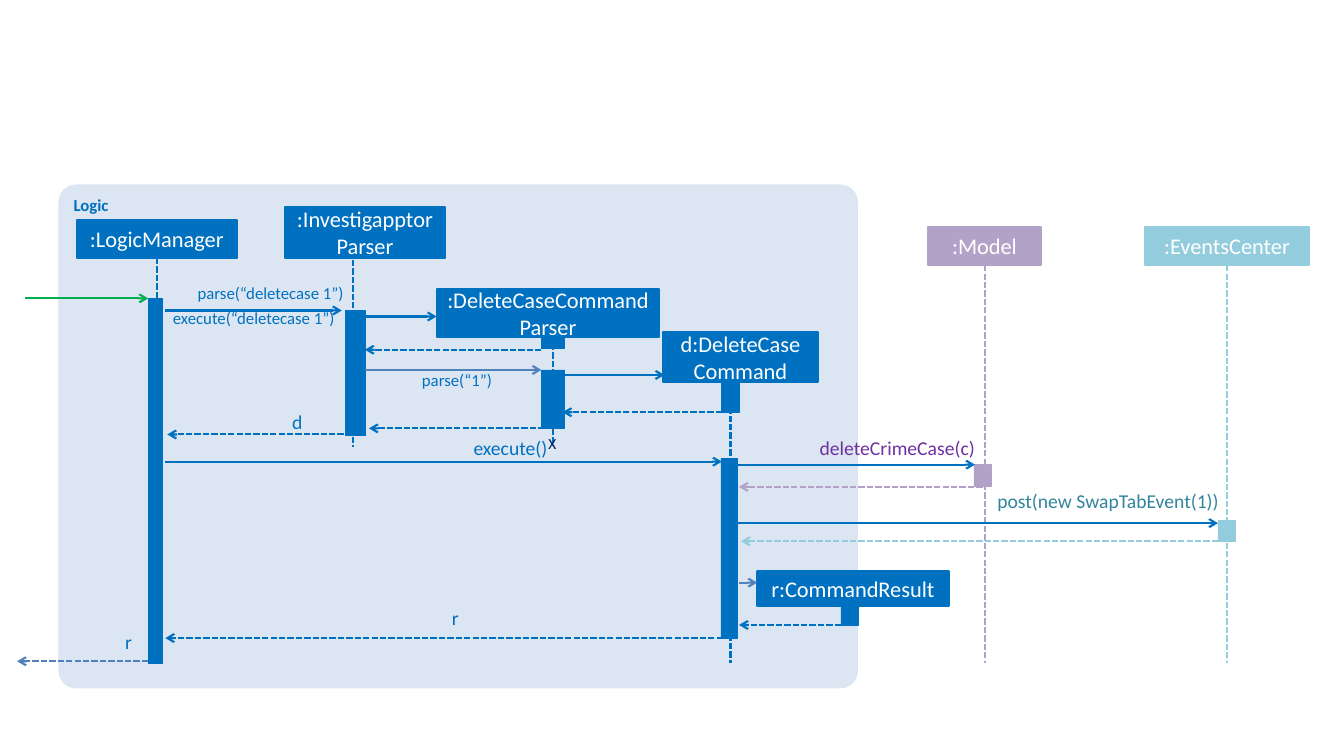
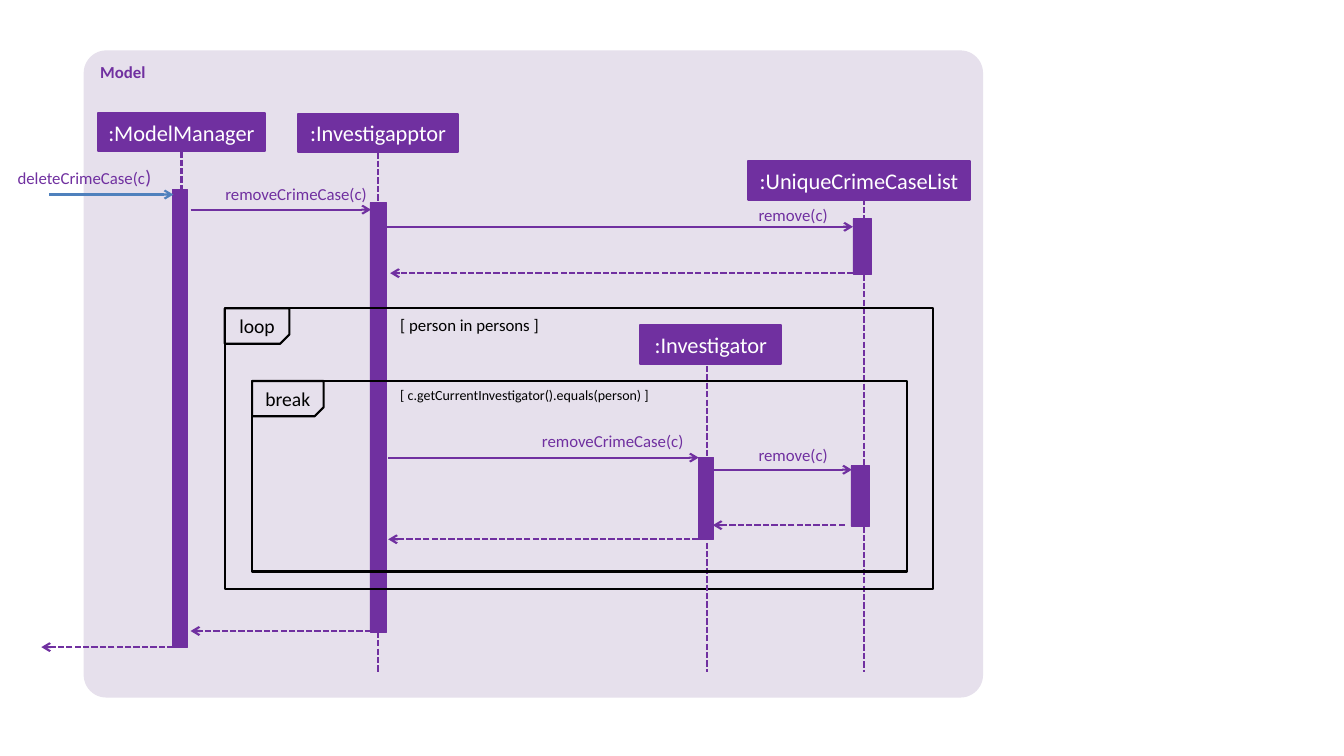
from lxml.etree import SubElement
from pptx import Presentation
from pptx.dml.color import RGBColor
from pptx.enum.dml import MSO_LINE
from pptx.enum.shapes import MSO_CONNECTOR, MSO_SHAPE
from pptx.enum.text import MSO_ANCHOR, MSO_AUTO_SIZE, PP_ALIGN
from pptx.oxml.ns import qn
from pptx.util import Inches, Pt

BLUE = "0070C0"
STEEL = "4F81BD"
GREEN = "00B050"
PURPLE = "7030A0"
LILAC = "B3A2C7"
AQUA = "93CDDD"
TEAL = "31859C"
NAVY = "002060"
BLACK = "000000"
WHITE = "FFFFFF"
TOP = 0
BOTTOM = 2


def color(value):
    return RGBColor.from_string(value)


class SequenceDiagram:
    font_name = "Calibri"
    line_width = Pt(1.5)

    def __init__(self, presentation):
        self.presentation = presentation
        self.slide = None
        self.accent = None

    def start_slide(self, accent):
        self.slide = self.presentation.slides.add_slide(self.presentation.slide_layouts[6])
        self.accent = accent

    def set_text(self, shape, text, size, ink, align=PP_ALIGN.LEFT, anchor=MSO_ANCHOR.TOP, bold=False):
        frame = shape.text_frame
        frame.word_wrap = True
        frame.vertical_anchor = anchor
        frame.text = text
        for paragraph in frame.paragraphs:
            paragraph.alignment = align
            font = paragraph.font
            font.name = self.font_name
            font.size = Pt(size)
            font.bold = bold
            font.color.rgb = color(ink)
        return frame

    def paint(self, shape, fill=None, line=None, width=line_width):
        shape.shadow.inherit = False
        if fill:
            shape.fill.solid()
            shape.fill.fore_color.rgb = color(fill)
        else:
            shape.fill.background()
        if line:
            shape.line.color.rgb = color(line)
            shape.line.width = width
        else:
            shape.line.fill.background()

    def box(self, left, top, width, height, kind=MSO_SHAPE.RECTANGLE):
        return self.slide.shapes.add_shape(
            kind, Inches(left), Inches(top), Inches(width), Inches(height))

    def region(self, title, left, top, width, height, fill):
        shape = self.box(left, top, width, height, MSO_SHAPE.ROUNDED_RECTANGLE)
        shape.adjustments[0] = 0.035
        self.paint(shape, fill)
        self.set_text(shape, title, 12, self.accent, bold=True)

    def participant(self, text, left, top, width, height, life_end=None, fill=None):
        fill = fill or self.accent
        shape = self.box(left, top, width, height)
        self.paint(shape, fill, fill)
        self.set_text(shape, text, 16, WHITE, PP_ALIGN.CENTER, MSO_ANCHOR.MIDDLE)
        if life_end:
            self.lifeline_from(shape, BOTTOM, life_end, fill)

    def activation(self, left, top, width, height, fill=None):
        fill = fill or self.accent
        shape = self.box(left, top, width, height)
        self.paint(shape, fill, fill, Pt(0.5))
        return shape

    def connector(self, start, end, ink=None, dashed=False, arrow=True):
        shape = self.slide.shapes.add_connector(
            MSO_CONNECTOR.STRAIGHT, *(Inches(value) for value in (*start, *end)))
        shape.line.color.rgb = color(ink or self.accent)
        shape.line.width = self.line_width
        if dashed:
            shape.line.dash_style = MSO_LINE.SQUARE_DOT
        properties = shape._element.spPr
        if arrow:
            SubElement(properties.find(qn("a:ln")), qn("a:tailEnd"), type="arrow")
        SubElement(properties, qn("a:effectLst"))
        return shape

    def lifeline(self, x, top, bottom, ink=None):
        return self.connector((x, top), (x, bottom), ink, dashed=True, arrow=False)

    def lifeline_from(self, shape, side, bottom, ink=None):
        x = (shape.left + shape.width / 2) / Inches(1)
        top = (shape.top + (shape.height if side == BOTTOM else 0)) / Inches(1)
        self.lifeline(x, top, bottom, ink).begin_connect(shape, side)

    def call(self, y, start, end, ink=None):
        self.connector((start, y), (end, y), ink)

    def reply(self, y, start, end, ink=None):
        self.connector((start, y), (end, y), ink, dashed=True)

    def reply_from(self, activation, end, ink=None):
        x = (activation.left + activation.width / 2) / Inches(1)
        y = (activation.top + activation.height) / Inches(1)
        self.connector((x, y), (end, y), ink, dashed=True).begin_connect(activation, BOTTOM)

    def label(self, text, left, top, width, size=12, ink=None, align=PP_ALIGN.RIGHT):
        shape = self.slide.shapes.add_textbox(
            Inches(left), Inches(top), Inches(width), Inches(size / 60))
        frame = self.set_text(shape, text, size, ink or self.accent, align)
        frame.margin_left = frame.margin_right = frame.margin_top = frame.margin_bottom = 0
        frame.auto_size = MSO_AUTO_SIZE.SHAPE_TO_FIT_TEXT
        return frame.paragraphs[0]

    def destroy_mark(self, left, top):
        shape = self.slide.shapes.add_textbox(
            Inches(left), Inches(top), Inches(0.28), Inches(0.29))
        frame = self.set_text(shape, "X", 11, NAVY)
        frame.word_wrap = False
        frame.auto_size = MSO_AUTO_SIZE.SHAPE_TO_FIT_TEXT

    def fragment(self, keyword, left, top, width, height, tab_width):
        self.paint(self.box(left, top, width, height), line=BLACK)
        tab_height, cut = 0.35, 0.09
        right, bottom = left + tab_width, top + tab_height
        corners = [(right - cut, bottom), (right, bottom - cut), (right, top), (left, top)]
        builder = self.slide.shapes.build_freeform(Inches(left), Inches(bottom))
        builder.add_line_segments([(Inches(x), Inches(y)) for x, y in corners], close=True)
        tab = builder.convert_to_shape()
        self.paint(tab, line=BLACK)
        self.set_text(tab, keyword, 14, BLACK, PP_ALIGN.CENTER, MSO_ANCHOR.MIDDLE)


def draw_logic(diagram):
    diagram.start_slide(BLUE)
    diagram.region("Logic", 0.58, 1.83, 7.93, 5, "DCE6F2")

    diagram.participant(":LogicManager", 0.76, 2.18, 1.59, 0.38, 5.42)
    diagram.activation(1.47, 2.96, 0.14, 3.62)
    diagram.participant(":InvestigapptorParser", 2.83, 2.05, 1.58, 0.51)
    diagram.lifeline(3.5, 2.58, 4.43)
    diagram.activation(3.43, 3.08, 0.19, 1.24)
    diagram.participant("d:DeleteCase\vCommand", 6.58, 3.29, 1.53, 0.5)
    command_creation = diagram.activation(7.16, 3.79, 0.17, 0.3)
    diagram.lifeline_from(command_creation, TOP, 6.58)
    diagram.activation(7.15, 4.55, 0.16, 1.78)
    diagram.participant(":DeleteCaseCommand\nParser", 4.33, 2.87, 2.21, 0.47)
    parser_creation = diagram.activation(5.37, 3.33, 0.23, 0.13)
    diagram.lifeline_from(parser_creation, TOP, 4.42)
    parsing = diagram.activation(5.37, 3.67, 0.23, 0.58)
    diagram.destroy_mark(5.34, 4.26)
    diagram.participant("r:CommandResult", 7.51, 5.67, 1.9, 0.34)
    result_creation = diagram.activation(8.34, 6.01, 0.17, 0.19)
    diagram.participant(":Model", 9.2, 2.25, 1.13, 0.38, 6.58, LILAC)
    deletion = diagram.activation(9.66, 4.61, 0.17, 0.22, LILAC)
    diagram.participant(":EventsCenter", 11.36, 2.25, 1.62, 0.38, 6.58, AQUA)
    posting = diagram.activation(12.08, 5.16, 0.17, 0.21, AQUA)

    for call in (
        (2.96, 0.25, 1.47, GREEN),
        (3.08, 1.64, 3.39),
        (3.14, 3.57, 4.33),
        (3.67, 3.62, 5.37, STEEL),
        (3.72, 5.58, 6.59),
        (4.58, 1.64, 7.16),
        (4.61, 7.25, 9.67),
        (5.19, 7.3, 12.08),
        (5.78, 7.33, 7.51, STEEL),
    ):
        diagram.call(*call)

    for reply in (
        (3.47, 5.37, 3.62),
        (4.31, 3.41, 1.66),
        (6.33, 7.17, 1.64),
        (6.56, 1.47, 0.17, STEEL),
    ):
        diagram.reply(*reply)

    for reply in (
        (command_creation, 5.58),
        (parsing, 3.66),
        (deletion, 7.33, LILAC),
        (posting, 7.35, AQUA),
        (result_creation, 7.33),
    ):
        diagram.reply_from(*reply)

    for label in (
        ("execute(“deletecase 1”)", 1.24, 3.05, 2.08),
        ("parse(“deletecase 1”)", 1.53, 2.81, 1.88),
        ("parse(“1”)", 4.04, 3.67, 0.84),
        ("execute()", 4.49, 4.32, 0.94, 14),
        ("d", 2.76, 4.07, 0.24, 14),
        ("r", 0.48, 6.25, 0.83, 14),
        ("r", 3.87, 6.01, 0.68, 14),
        ("deleteCrimeCase(c)", 7.93, 4.32, 1.74, 14, PURPLE),
        ("post(new SwapTabEvent(1))", 9.56, 4.85, 2.53, 14, TEAL),
    ):
        diagram.label(*label)


def draw_model(diagram):
    diagram.start_slide(PURPLE)
    diagram.region("Model", 0.83, 0.5, 8.92, 6.42, "E6E0EC")

    diagram.participant(":ModelManager", 0.97, 1.12, 1.66, 0.38, 3.25)
    diagram.activation(1.71, 1.88, 0.15, 4.54)
    diagram.participant(":Investigapptor", 2.96, 1.13, 1.58, 0.38, 6.67)
    diagram.activation(3.67, 2.01, 0.16, 4.26)
    diagram.participant(":UniqueCrimeCaseList", 7.42, 1.6, 2.2, 0.38)
    diagram.lifeline(8.57, 1.97, 6.67)
    diagram.activation(8.46, 2.17, 0.18, 0.55)
    diagram.fragment("loop", 2.23, 3.06, 7.02, 2.78, 0.64)
    diagram.participant(":Investigator", 6.35, 3.22, 1.4, 0.39)
    diagram.lifeline(7.01, 3.63, 6.67)
    diagram.fragment("break", 2.5, 3.78, 6.5, 1.89, 0.71)
    diagram.activation(6.93, 4.54, 0.15, 0.81)
    diagram.activation(8.44, 4.62, 0.18, 0.6)

    for call in (
        (1.93, 0.49, 1.72, STEEL),
        (2.08, 1.89, 3.68),
        (2.25, 3.83, 8.46),
        (4.54, 3.85, 6.93),
        (4.66, 7.08, 8.45),
    ):
        diagram.call(*call)

    for reply in (
        (2.71, 8.46, 3.87),
        (5.21, 8.38, 7.07),
        (5.35, 6.93, 3.85),
        (6.26, 3.68, 1.89),
        (6.42, 1.72, 0.41),
    ):
        diagram.reply(*reply)

    for label in (
        ("removeCrimeCase(c)", 1.76, 1.82, 1.88),
        ("remove(c)", 7.32, 2.03, 0.89),
        ("removeCrimeCase(c)", 4.9, 4.27, 1.88),
        ("remove(c)", 7.32, 4.41, 0.89),
        ("[ person in persons ]", 3.97, 3.12, 1.57, 12, BLACK, PP_ALIGN.LEFT),
        ("[ c.getCurrentInvestigator().equals(person) ]", 3.97, 3.83, 2.97, 10, BLACK, PP_ALIGN.LEFT),
    ):
        diagram.label(*label)

    closing = diagram.label("deleteCrimeCase(c", -0.24, 1.64, 1.74).add_run()
    closing.text = ")"
    closing.font.size = Pt(14)


def main():
    presentation = Presentation()
    presentation.slide_width = Inches(13.33)
    presentation.slide_height = Inches(7.5)
    diagram = SequenceDiagram(presentation)
    draw_logic(diagram)
    draw_model(diagram)
    presentation.save("out.pptx")


if __name__ == "__main__":
    main()
